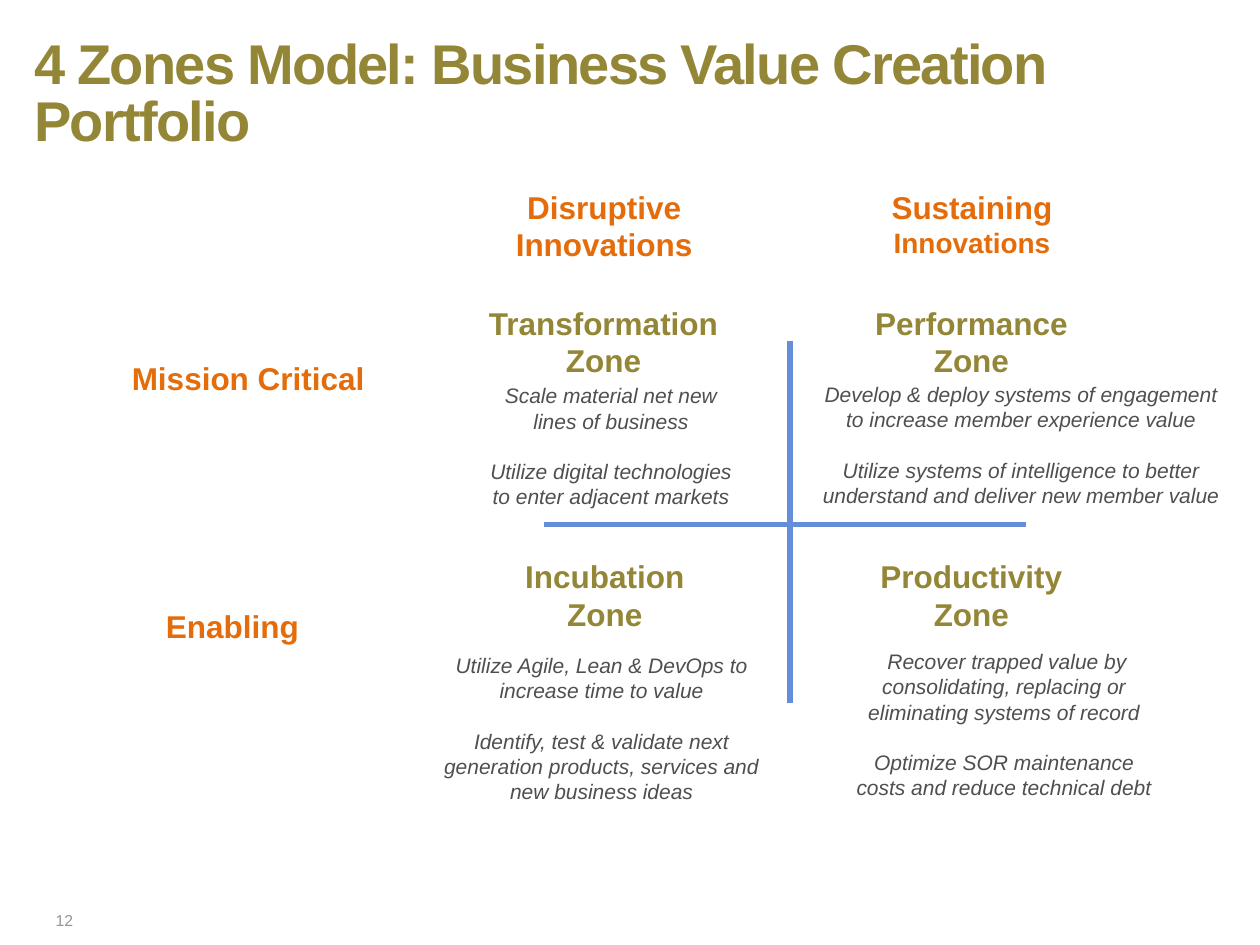
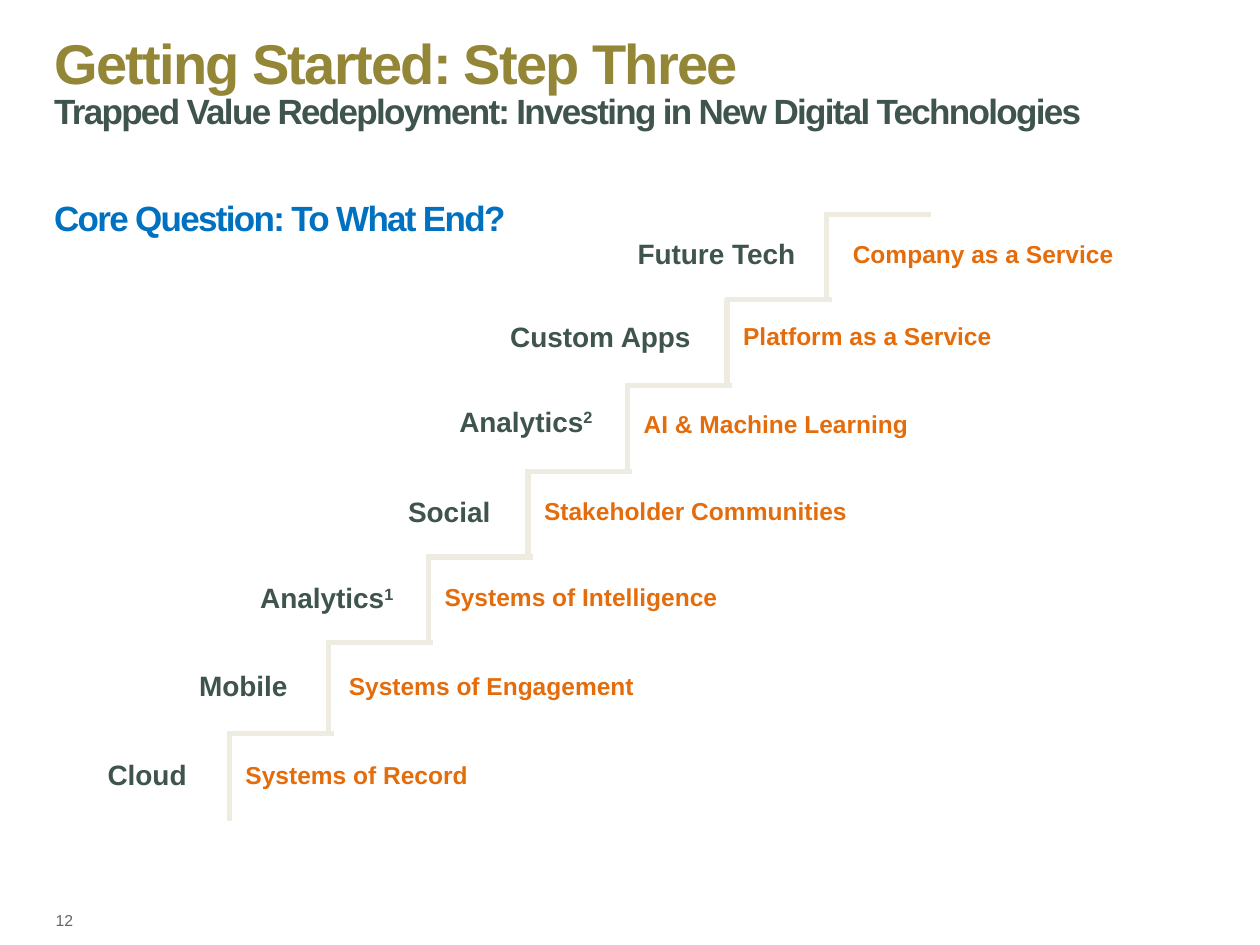
from lxml import etree
from pptx import Presentation
from pptx.dml.color import RGBColor
from pptx.enum.shapes import MSO_CONNECTOR, MSO_SHAPE
from pptx.enum.text import MSO_ANCHOR, MSO_AUTO_SIZE, PP_ALIGN
from pptx.oxml.ns import qn
from pptx.util import Inches, Pt

OLIVE = RGBColor(0x93, 0x86, 0x36)
ORANGE = RGBColor(0xE4, 0x6C, 0x0A)
SLATE = RGBColor(0x3E, 0x54, 0x4D)
BLUE = RGBColor(0x00, 0x70, 0xC0)
AXIS_BLUE = RGBColor(0x64, 0x8E, 0xD8)
STAIR_BEIGE = RGBColor(0xEE, 0xEC, 0xE1)
BODY_GRAY = RGBColor(0x4F, 0x4F, 0x51)
LIGHT_GRAY = RGBColor(0x95, 0x95, 0x97)
DARK_GRAY = RGBColor(0x66, 0x66, 0x66)
WHITE = RGBColor(0xFF, 0xFF, 0xFF)

FONT = "Arial"
LEFT, CENTER, RIGHT = PP_ALIGN.LEFT, PP_ALIGN.CENTER, PP_ALIGN.RIGHT

# Name, left, top, width of the headings on white panels
ZONE_PANELS = (
    ("Incubation", 4.06, 4.37, 1.48),
    ("Transformation", 3.77, 2.36, 2.04),
    ("Performance", 6.84, 2.36, 1.74),
)

# Left, top, width, height, paragraphs
ZONE_NOTES = (
    (3.35, 5.13, 2.85, 1.58,
     ("Utilize Agile, Lean & DevOps to increase time to value",
      "Identify, test & validate next generation products, services and new business ideas")),
    (3.72, 2.99, 2.26, 1.11,
     ("Scale material net new lines of business",
      "Utilize digital technologies to enter adjacent markets")),
    (6.36, 2.98, 3.49, 1.72,
     ("Develop & deploy systems of engagement to increase member experience value",
      "Utilize systems of intelligence to better understand and deliver new member value")),
    (6.64, 5.1, 2.66, 1.51,
     (" Recover trapped value by consolidating, replacing or eliminating systems of record",
      "Optimize SOR maintenance costs and reduce technical debt")),
)

# Technology, superscript, right edge, top; then service, left edge, top
STEPS = (
    ("Cloud", "", 1.58, 5.96, "Systems of Record", 1.85, 5.98),
    ("Mobile", "", 2.38, 5.26, "Systems of Engagement", 2.67, 5.28),
    ("Analytics", "1", 3.22, 4.56, "Systems of Intelligence", 3.43, 4.57),
    ("Social", "", 3.99, 3.88, "Stakeholder Communities", 4.22, 3.89),
    ("Analytics", "2", 4.8, 3.16, "AI & Machine Learning", 5.01, 3.2),
    ("Custom Apps", "", 5.58, 2.49, "Platform as a Service", 5.8, 2.5),
    ("Future Tech", "", 6.41, 1.83, "Company as a Service", 6.67, 1.85),
)
TREADS = [5.82] + [5.1 - 0.68 * k for k in range(6)]


def add_run(p, text, size, color, bold=True, italic=False):
    r = p.add_run()
    r.text = text
    font = r.font
    font.name, font.size = FONT, Pt(size)
    font.bold, font.italic = bold, italic
    font.color.rgb = color
    return r


def set_insets(tf, inset):
    tf.margin_left = tf.margin_right = Inches(inset)
    tf.margin_top = tf.margin_bottom = Inches(inset)


def fill_text(tf, paragraphs, size, color, align=CENTER, gap=0, **style):
    """Write one run per paragraph, with gap points between paragraphs."""
    for i, text in enumerate(paragraphs):
        p = tf.add_paragraph() if i else tf.paragraphs[0]
        p.alignment = align
        if i and gap:
            p.space_before = Pt(gap)
        add_run(p, text, size, color, **style)


def add_text(slide, left, top, width, height, paragraphs, size, color, **style):
    sp = slide.shapes.add_textbox(Inches(left), Inches(top), Inches(width), Inches(height))
    tf = sp.text_frame
    tf.word_wrap = True
    fill_text(tf, paragraphs, size, color, **style)
    return tf


def add_white_panel(slide, left, top, width, height):
    sp = slide.shapes.add_shape(
        MSO_SHAPE.RECTANGLE, Inches(left), Inches(top), Inches(width), Inches(height))
    sp.shadow.inherit = False
    sp.fill.solid()
    sp.fill.fore_color.rgb = WHITE
    sp.line.fill.background()
    return sp


def add_line(slide, x1, y1, x2, y2, color):
    line = slide.shapes.add_connector(
        MSO_CONNECTOR.STRAIGHT, Inches(x1), Inches(y1), Inches(x2), Inches(y2))
    line.line.color.rgb = color
    line.line.width = Pt(3)
    etree.SubElement(line._element.spPr, qn("a:effectLst"))


def add_slide(prs, left, width, title_lines, number_color):
    """Add a slide with its page number and a title of (text, size, colour, gap) lines."""
    slide = prs.slides.add_slide(prs.slide_layouts[5])
    title = slide.shapes.title
    title.left, title.top = Inches(left), Inches(0.26)
    title.width, title.height = Inches(width), Inches(1.08)
    tf = title.text_frame
    tf.auto_size = MSO_AUTO_SIZE.NONE
    tf.vertical_anchor = MSO_ANCHOR.TOP
    set_insets(tf, 0.05)
    for i, (text, size, color, gap) in enumerate(title_lines):
        p = tf.add_paragraph() if i else tf.paragraphs[0]
        p.alignment = LEFT
        p.line_spacing = 0.85
        p.space_before = Pt(gap)
        r = add_run(p, text, size, color)
        r.font._element.set("spc", "-100")

    number = add_text(slide, 0.12, 7.17, 0.51, 0.27, ["12"], 9, number_color,
                      align=RIGHT, bold=False)
    number.vertical_anchor = MSO_ANCHOR.MIDDLE
    set_insets(number, 0.05)
    return slide


def build_zones(prs):
    slide = add_slide(prs, 0.22, 9.65,
                      [("4 Zones Model: Business Value Creation Portfolio", 32, OLIVE, 0)],
                      LIGHT_GRAY)
    add_line(slide, 6.27, 2.71, 6.27, 5.61, AXIS_BLUE)
    add_line(slide, 8.14, 4.16, 4.32, 4.16, AXIS_BLUE)

    add_text(slide, 3.35, 1.44, 2.89, 0.71, ["Disruptive", "Innovations"], 18, ORANGE)
    tf = add_text(slide, 6.45, 1.44, 2.53, 0.67, ["Sustaining"], 18, ORANGE)
    add_run(tf.paragraphs[0], " Innovations", 16, ORANGE)

    for name, left, top, width in ZONE_PANELS:
        tf = add_white_panel(slide, left, top, width, 0.71).text_frame
        tf.word_wrap = False
        tf.vertical_anchor = MSO_ANCHOR.TOP
        fill_text(tf, [name, "Zone"], 18, OLIVE)
    add_text(slide, 6.58, 4.37, 2.26, 0.71, ["Productivity", "Zone"], 18, OLIVE)

    add_text(slide, 0.09, 2.8, 3.76, 0.64, ["Mission Critical"], 18, ORANGE)
    add_text(slide, -0.08, 4.77, 3.85, 0.88, ["Enabling"], 18, ORANGE)

    # Trims the lower end of the vertical axis
    add_white_panel(slide, 6.11, 5.58, 2.26, 0.37)
    for left, top, width, height, notes in ZONE_NOTES:
        add_text(slide, left, top, width, height, notes, 12, BODY_GRAY,
                 gap=14.4, bold=False, italic=True)


def build_steps(prs):
    slide = add_slide(prs, 0.38, 9.19, [
        ("Getting Started: Step Three", 32, OLIVE, 0),
        ("Trapped Value Redeployment: Investing in New Digital Technologies", 20, SLATE, 0),
        ("Core Question: To What End?", 20, BLUE, 40.5),
    ], DARK_GRAY)

    for i, tread in enumerate(TREADS):
        riser = 1.82 + 0.79 * i
        add_line(slide, riser, tread - 0.01, riser, tread + 0.7, STAIR_BEIGE)
        add_line(slide, riser - 0.02, tread, riser + 0.83, tread, STAIR_BEIGE)

    for tech, mark, right, tech_top, service, left, service_top in STEPS:
        tech_left = max(0, right - 1.75)
        tf = add_text(slide, tech_left, tech_top, right - tech_left, 0.37,
                      [tech], 16, SLATE, align=RIGHT)
        if mark:
            r = add_run(tf.paragraphs[0], mark, 16, SLATE)
            r.font._element.set("baseline", "30000")
        add_text(slide, left, service_top, 2.8, 0.34, [service], 14, ORANGE, align=LEFT)


def main():
    prs = Presentation()
    prs.slide_width, prs.slide_height = Inches(10), Inches(7.5)
    build_zones(prs)
    build_steps(prs)
    prs.save("out.pptx")


if __name__ == "__main__":
    main()
